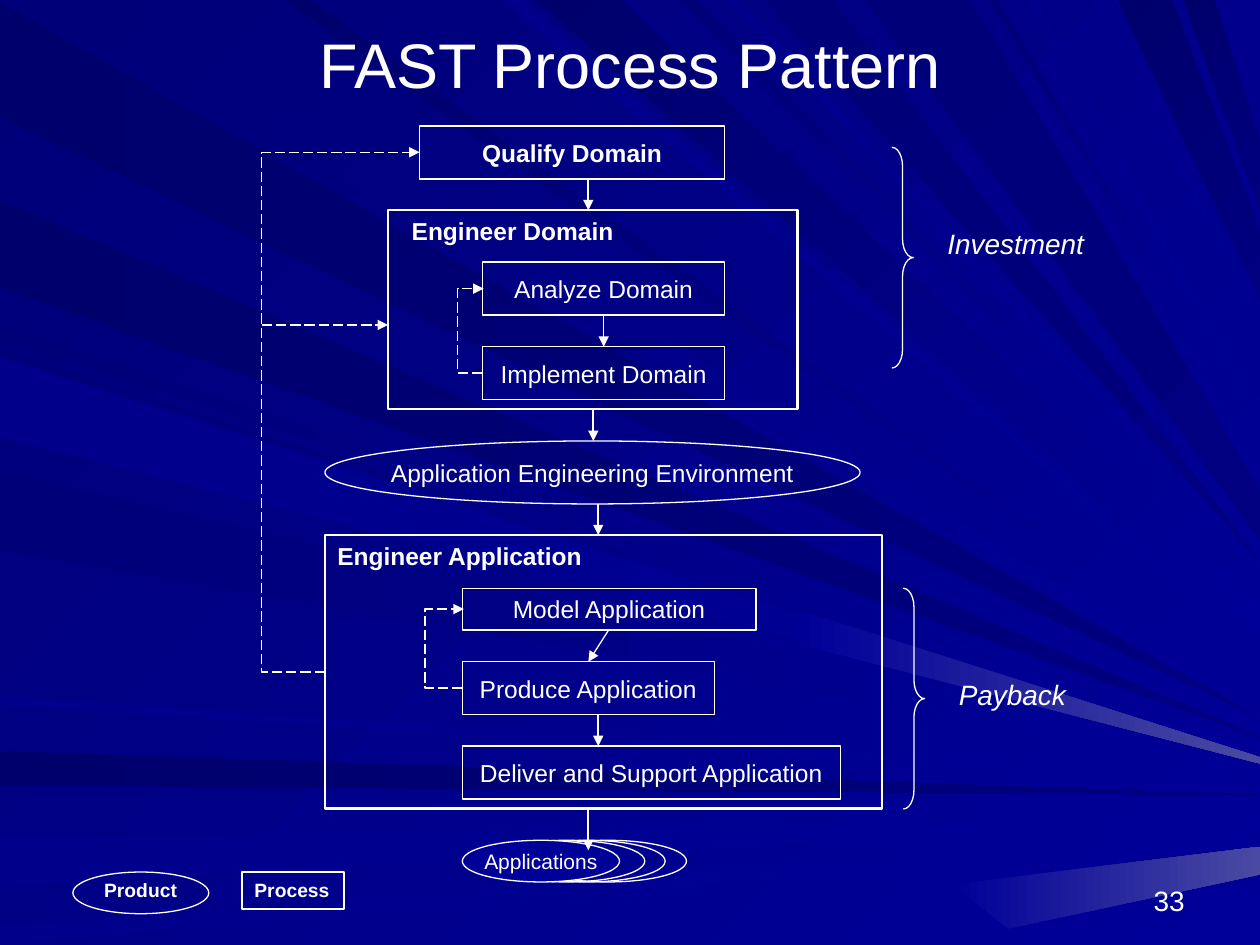
from collections import namedtuple
from itertools import pairwise

from lxml import etree
from pptx import Presentation
from pptx.dml.color import RGBColor
from pptx.enum.dml import MSO_LINE
from pptx.enum.shapes import MSO_CONNECTOR, MSO_SHAPE
from pptx.enum.text import MSO_ANCHOR, PP_ALIGN
from pptx.oxml.ns import qn
from pptx.util import Cm, Pt

RECTANGLE, ELLIPSE, BRACE = MSO_SHAPE.RECTANGLE, MSO_SHAPE.OVAL, MSO_SHAPE.RIGHT_BRACE
STRAIGHT, ELBOW = MSO_CONNECTOR.STRAIGHT, MSO_CONNECTOR.ELBOW
TOP, MIDDLE, BOTTOM = MSO_ANCHOR.TOP, MSO_ANCHOR.MIDDLE, MSO_ANCHOR.BOTTOM
LEFT, CENTER, RIGHT = PP_ALIGN.LEFT, PP_ALIGN.CENTER, PP_ALIGN.RIGHT
LONG_DASH = MSO_LINE.LONG_DASH

WHITE = RGBColor(0xFF, 0xFF, 0xFF)
BLUE = RGBColor(0x00, 0x00, 0x99)
NAVY = RGBColor(0x00, 0x00, 0x80)
DARK = RGBColor(0x00, 0x00, 0x6C)
DEEP = RGBColor(0x00, 0x00, 0x78)
SOFT = RGBColor(0x00, 0x00, 0x8A)
GLOW = RGBColor(0x4A, 0x4A, 0xA2)
FONT = "Arial"
THIN, THICK = 0.75, 1.25
UNIT = 2.54  # layout unit in centimetres
PERCENT = 100  # rays are measured in hundredths of a unit
RIGHT_EDGE = 1000

# Each ray: start colour, end colour, its span on the first edge, its tip on the right edge
LEFT_RAYS = [
    (DARK, NAVY, 2, 93, 570), (DARK, NAVY, 596, 623, 631), (SOFT, BLUE, 665, 704, 647),
    (SOFT, BLUE, 735, 750, 662), (DEEP, BLUE, 258, 270, 589), (DARK, NAVY, 159, 228, 585),
]
TOP_RAYS = [
    (DEEP, BLUE, 26, 101, 563), (SOFT, BLUE, 398, 416, 518), (DARK, BLUE, 426, 492, 507, 479),
    (DEEP, BLUE, 540, 552, 463), (DEEP, NAVY, 606, 661, 446), (DARK, NAVY, 887, 930, 237, 183),
    (DARK, NAVY, 939, 964, 167, 114), (DARK, BLUE, 225, 247, 550), (SOFT, BLUE, 577, 588, 454),
    (DEEP, NAVY, 686, 770, 428, 390), (DEEP, BLUE, 785, 792, 357), (SOFT, BLUE, 815, 824, 336),
    (SOFT, BLUE, 865, 872, 254),
]
FRONT_RAYS = [
    (DEEP, BLUE, 278, 342, 599), (DEEP, BLUE, 374, 437, 606),
    (SOFT, BLUE, 552, 560, 622), (SOFT, BLUE, 283, 347, 606, 601),
]
GLOWS = [
    [(637, 485), (633, 511), (RIGHT_EDGE, 606), (RIGHT_EDGE, 601)],
    [(756, 702), (800, 737), (RIGHT_EDGE, 694), (RIGHT_EDGE, 672)],
]

Box = namedtuple("Box", "left top width height")


def inside(box, left, top, width, height):
    return Box(box.left + left, box.top + top, width, height)


def lengths(values):
    return [Cm(round(value * UNIT, 2)) for value in values]


def set_gradient(fill, start, end, angle):
    fill.gradient()
    fill.gradient_angle = -angle % 360
    for position, (stop, colour) in enumerate(zip(fill.gradient_stops, (start, end))):
        stop.color.rgb = colour
        stop.position = position


def write(shape, text, size, bold=False, italic=False, align=LEFT, anchor=TOP, wrap=False):
    frame = shape.text_frame
    frame.word_wrap = wrap
    frame.vertical_anchor = anchor
    paragraph = frame.paragraphs[0]
    paragraph.alignment = align
    run = paragraph.add_run()
    run.text = text
    run.font.name, run.font.size = FONT, Pt(size)
    run.font.bold, run.font.italic = bold, italic
    run.font.color.rgb = WHITE


def add_label(slide, box, text, size, **style):
    write(slide.shapes.add_textbox(*lengths(box)), text, size, **style)


def add_outline(slide, kind, box, width=THIN, fill=None):
    shape = slide.shapes.add_shape(kind, *lengths(box))
    shape.shadow.inherit = False
    if fill is None:
        shape.fill.background()
    else:
        shape.fill.solid()
        shape.fill.fore_color.rgb = fill
    shape.line.color.rgb = WHITE
    shape.line.width = Pt(width)
    return shape


def add_node(slide, kind, box, text, size=14, bold=False, fill=None):
    shape = add_outline(slide, kind, box, fill=fill)
    write(shape, text, size, bold=bold, align=CENTER, anchor=MIDDLE)


def add_arrow(slide, start, end, width=THIN, dashed=False, bend=None):
    kind = STRAIGHT if bend is None else ELBOW
    arrow = slide.shapes.add_connector(kind, *lengths(start + end))
    arrow.line.color.rgb = WHITE
    arrow.line.width = Pt(width)
    if dashed:
        arrow.line.dash_style = LONG_DASH
    properties = arrow.element.spPr
    if bend is not None:
        ratio = (bend - start[0]) / (end[0] - start[0])
        adjustments = properties.find(qn("a:prstGeom")).find(qn("a:avLst"))
        etree.SubElement(adjustments, qn("a:gd"), name="adj1", fmla=f"val {round(ratio * 100000)}")
    etree.SubElement(properties.find(qn("a:ln")), qn("a:tailEnd"), type="triangle")
    etree.SubElement(properties, qn("a:effectLst"))


def add_ray(slide, points, start, end, angle):
    builder = slide.shapes.build_freeform(*points[0], scale=Cm(UNIT / PERCENT))
    builder.add_line_segments(points[1:], close=True)
    ray = builder.convert_to_shape()
    ray.shadow.inherit = False
    ray.line.fill.background()
    set_gradient(ray.fill, start, end, angle)


def draw_background(slide):
    set_gradient(slide.background.fill, DEEP, BLUE, 45)
    for rays, from_top in ((LEFT_RAYS, False), (TOP_RAYS, True), (FRONT_RAYS, False)):
        for start, end, first, last, *tips in rays:
            points = [(edge, 0) if from_top else (0, edge) for edge in (last, first)]
            points += [(RIGHT_EDGE, tip) for tip in tips]
            add_ray(slide, points, start, end, 45 if from_top else 0)
    for points in GLOWS:
        add_ray(slide, points, BLUE, GLOW, 0)


def draw_phase(slide, box, heading, heading_left, step_left, steps, arrows):
    """Framed phase with its steps; the second step loops back to the first."""
    add_outline(slide, RECTANGLE, box, THICK)
    add_label(slide, inside(box, heading_left, 0, 2.58, 0.34), heading, 14, bold=True, wrap=True)
    places = [inside(box, step_left, *place) for text, *place in steps]
    for place, (text, *_) in zip(places, steps):
        add_node(slide, RECTANGLE, place, text)
    for (upper, lower), (start_x, end_x, width) in zip(pairwise(places), arrows):
        add_arrow(slide, (start_x, upper.top + upper.height), (end_x, lower.top), width)
    first, second = places[:2]
    add_arrow(slide, (second.left, second.top + second.height / 2),
              (first.left + 0.01, first.top + first.height / 2),
              dashed=True, bend=first.left - 0.25)


def draw_applications(slide, box):
    for offset in (0.2, 0.36, 0.53):
        add_outline(slide, ELLIPSE, inside(box, offset, 0, 1.25, box.height))
    add_node(slide, ELLIPSE, inside(box, 0, 0, 1.25, box.height), "Applications", 12, fill=BLUE)


def draw_span(slide, box, text, label_top):
    brace = add_outline(slide, BRACE, box)
    brace.adjustments[0] = 0.875
    add_label(slide, inside(box, 0.34, label_top, 1.35, 0.37), text, 16, italic=True)


def draw_legend(slide, box):
    add_outline(slide, ELLIPSE, inside(box, 0, 0, 1.08, box.height))
    add_label(slide, inside(box, 0.15, 0, 0.79, 0.29), "Product", 11, bold=True)
    process = add_outline(slide, RECTANGLE, inside(box, 1.34, 0, 0.81, 0.29), 1)
    write(process, "Process", 11, bold=True)


presentation = Presentation()
presentation.slide_width, presentation.slide_height = lengths((10, 7.5))
slide = presentation.slides.add_slide(presentation.slide_layouts[6])
draw_background(slide)

# Title and slide number
add_label(slide, Box(0.75, 0.25, 8.5, 0.5), "FAST Process Pattern", 36,
          align=CENTER, anchor=MIDDLE, wrap=True)
add_label(slide, Box(7.17, 6.83, 2.33, 0.5), "33", 16, align=RIGHT, anchor=BOTTOM, wrap=True)

# Stages from top to bottom
qualify = Box(3.33, 1, 2.42, 0.42)
domain = Box(3.08, 1.67, 3.25, 1.58)
environment = Box(2.58, 3.5, 4.25, 0.5)
application = Box(2.58, 4.25, 4.42, 2.17)
products = Box(3.67, 6.67, 1.78, 0.33)
add_node(slide, RECTANGLE, qualify, "Qualify Domain", bold=True)
draw_phase(slide, domain, "Engineer Domain", 0.09, 0.75,
           [("Analyze Domain", 0.41, 1.92, 0.42), ("Implement Domain", 1.08, 1.92, 0.42)],
           [(4.79, 4.79, THIN)])
add_node(slide, ELLIPSE, environment, "Application Engineering Environment")
draw_phase(slide, application, "Engineer Application", 0, 1.09,
           [("Model Application", 0.42, 2.33, 0.33), ("Produce Application", 1, 2, 0.42),
            ("Deliver and Support Application", 1.67, 3, 0.42)],
           [(4.83, 4.67, THIN), (4.75, 4.75, THICK)])
draw_applications(slide, products)

# Arrows between the stages; the last one reaches into the products
target = inside(products, 0, 0.08, products.width, products.height)
stages = [qualify, domain, environment, application, target]
for (upper, lower), x in zip(pairwise(stages), (4.67, 4.71, 4.75, 4.67)):
    add_arrow(slide, (x, upper.top + upper.height), (x, lower.top), THICK)

# Feedback to the earlier stages
feedback_x = 2.08
add_arrow(slide, (application.left, application.top + application.height / 2),
          (qualify.left, qualify.top + qualify.height / 2), dashed=True, bend=feedback_x)
add_arrow(slide, (feedback_x, 2.58), (domain.left, 2.58), dashed=True)

# Braces and legend
draw_span(slide, Box(7.08, 1.17, 0.17, 1.75), "Investment", 0.58)
draw_span(slide, Box(7.17, 4.67, 0.17, 1.75), "Payback", 0.66)
draw_legend(slide, Box(0.58, 6.92, 2.15, 0.33))

presentation.save("out.pptx")
